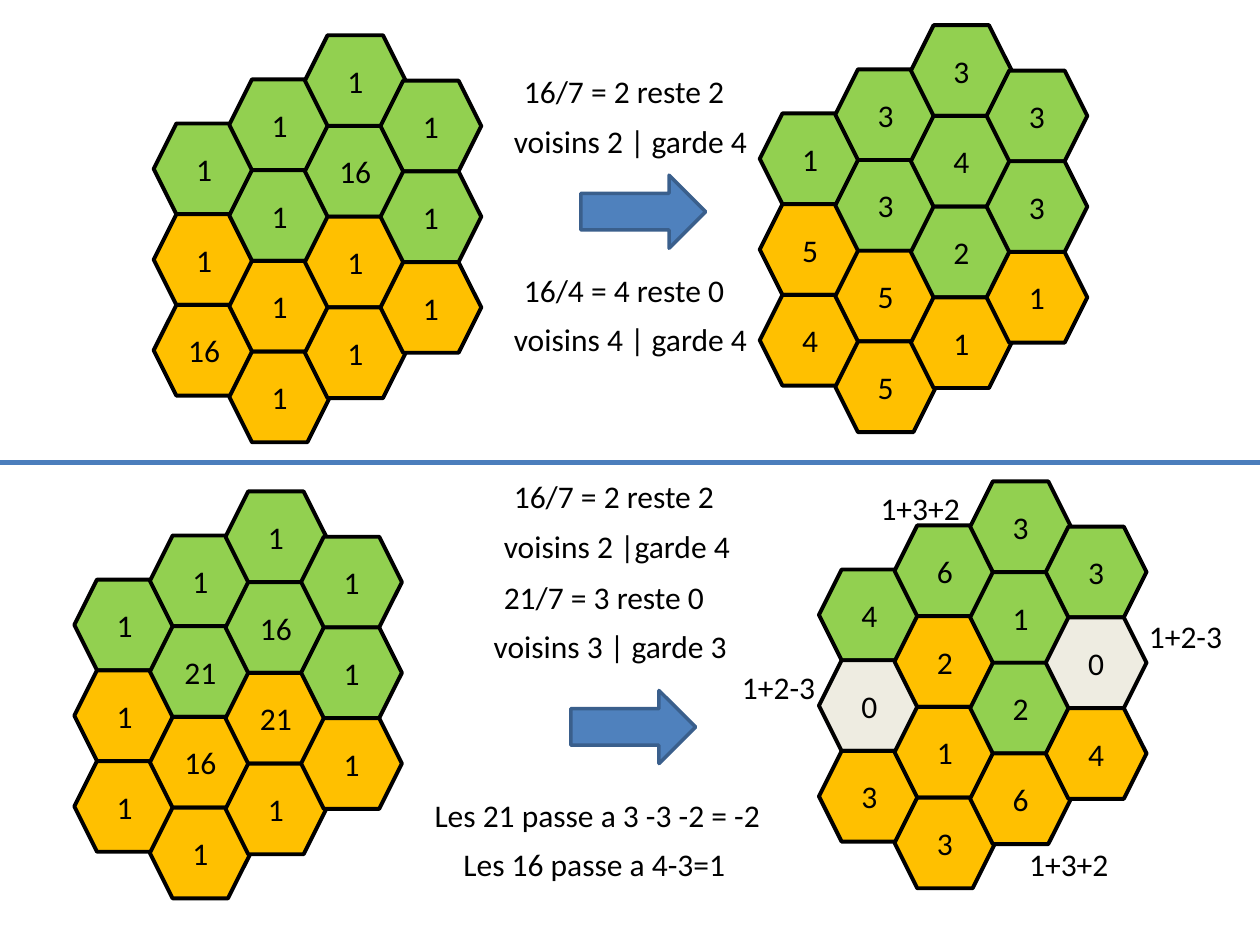
"""Build a slide of hexagon boards before and after sharing out their values."""
from dataclasses import dataclass

from lxml import etree
from pptx import Presentation
from pptx.dml.color import RGBColor
from pptx.enum.shapes import MSO_CONNECTOR, MSO_SHAPE
from pptx.enum.text import MSO_ANCHOR, MSO_AUTO_SIZE, PP_ALIGN
from pptx.oxml.ns import qn
from pptx.util import Pt

HEXAGON = MSO_SHAPE.HEXAGON
RIGHT_ARROW = MSO_SHAPE.RIGHT_ARROW
STRAIGHT = MSO_CONNECTOR.STRAIGHT
MIDDLE = MSO_ANCHOR.MIDDLE
CENTER = PP_ALIGN.CENTER
FIT_SHAPE = MSO_AUTO_SIZE.SHAPE_TO_FIT_TEXT
PX = 9144


@dataclass(frozen=True)
class Theme:
    font: str = "Calibri"
    text_size: float = 18
    cell_line: float = 2.25
    arrow_line: float = 2
    divider_line: float = 2.5
    ink: str = "000000"
    green: str = "92D050"
    orange: str = "FFC000"
    grey: str = "EEECE1"
    arrow_fill: str = "4F81BD"
    arrow_edge: str = "3A5F8C"
    divider: str = "4B7EBC"


theme = Theme()


def write_text(paragraph, text):
    run = paragraph.add_run()
    run.text = text
    run.font.name = theme.font
    run.font.size = Pt(theme.text_size)
    run.font.color.rgb = RGBColor.from_string(theme.ink)


def add_filled_shape(shapes, kind, box, fill, edge, edge_width):
    shape = shapes.add_shape(kind, *(length * PX for length in box))
    shape.shadow.inherit = False
    shape.fill.solid()
    shape.fill.fore_color.rgb = RGBColor.from_string(fill)
    shape.line.color.rgb = RGBColor.from_string(edge)
    shape.line.width = Pt(edge_width)
    return shape


presentation = Presentation()
presentation.slide_width = 1000 * PX
presentation.slide_height = 750 * PX
slide = presentation.slides.add_slide(presentation.slide_layouts[6])

CELL_WIDTH, CELL_HEIGHT = 80, 72
COLUMN_STEP = 60
COLUMN_TOPS = (69, 34, -1, 35)
FILLS = {"g": theme.green, "o": theme.orange, "x": theme.grey}
boards = [
    (122, 29, ("g1 o1 o16", "g1 g1 o1 o1", "g1 g16 o1 o1", "g1 g1 o1")),
    (603, 21, ("g1 o5 o4", "g3 g3 o5 o5", "g3 g4 g2 o1", "g3 g3 o1")),
    (59, 391, ("g1 o1 o1", "g1 g21 o16 o1", "g1 g16 o21 o1", "g1 g1 o1")),
    (650, 383, ("g4 x0 o3", "g6 o2 o1 o3", "g3 g1 g2 o6", "g3 x0 o4")),
]
for board_left, board_top, columns in boards:
    board = slide.shapes.add_group_shape()
    for column, (column_top, cells) in enumerate(zip(COLUMN_TOPS, columns)):
        for row, cell in enumerate(cells.split()):
            left = board_left + column * COLUMN_STEP
            top = board_top + column_top + row * CELL_HEIGHT
            hexagon = add_filled_shape(
                board.shapes, HEXAGON, (left, top, CELL_WIDTH, CELL_HEIGHT),
                FILLS[cell[0]], theme.ink, theme.cell_line)
            frame = hexagon.text_frame
            frame.margin_left = frame.margin_right = 0
            frame.vertical_anchor = MIDDLE
            paragraph = frame.paragraphs[0]
            paragraph.alignment = CENTER
            write_text(paragraph, cell[1:])

for left, top in ((461, 139), (453, 548)):
    add_filled_shape(slide.shapes, RIGHT_ARROW, (left, top, 99, 58),
                     theme.arrow_fill, theme.arrow_edge, theme.arrow_line)

LABEL_HEIGHT = 40
labels = [
    (406, 52, 181, "16/7 = 2 reste 2"),
    (398, 92, 207, "voisins 2 | garde 4"),
    (406, 210, 181, "16/4 = 4 reste 0"),
    (398, 249, 207, "voisins 4 | garde 4"),
    (398, 374, 181, "16/7 = 2 reste 2"),
    (390, 413, 202, "voisins 2 |garde 4"),
    (390, 454, 181, "21/7 = 3 reste 0"),
    (382, 493, 213, "voisins 3 | garde 3"),
    (335, 627, 282, "Les 21 passe a 3 -3 -2 = -2"),
    (358, 666, 231, "Les 16 passe a 4-3=1"),
    (579, 525, 79, "1+2-3"),
    (902, 485, 79, "1+2-3"),
    (689, 383, 84, "1+3+2"),
    (807, 666, 84, "1+3+2"),
]
for left, top, width, text in labels:
    label = slide.shapes.add_textbox(left * PX, top * PX, width * PX, LABEL_HEIGHT * PX)
    label.text_frame.word_wrap = False
    label.text_frame.auto_size = FIT_SHAPE
    write_text(label.text_frame.paragraphs[0], text)

divider = slide.shapes.add_connector(STRAIGHT, 0, 367 * PX, 1000 * PX, 367 * PX)
divider.line.color.rgb = RGBColor.from_string(theme.divider)
divider.line.width = Pt(theme.divider_line)
etree.SubElement(divider.element.spPr, qn("a:effectLst"))

presentation.save("out.pptx")
